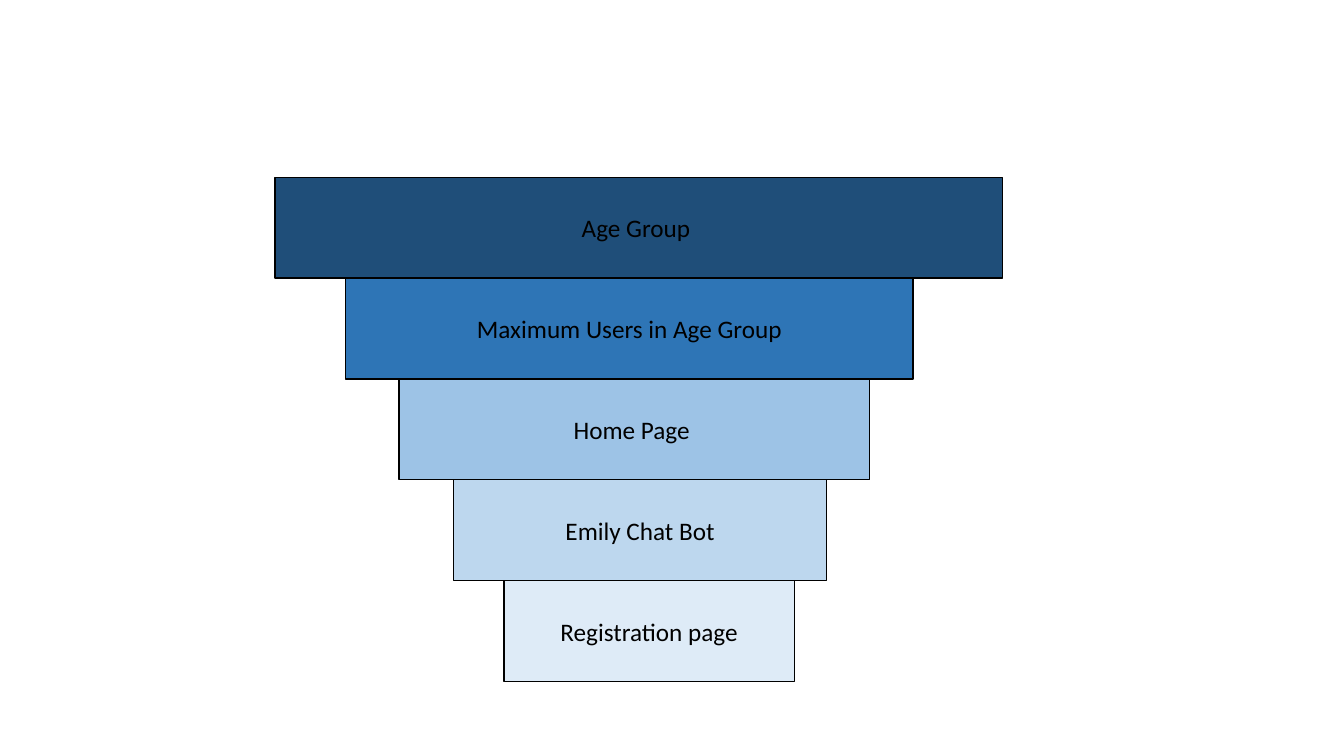
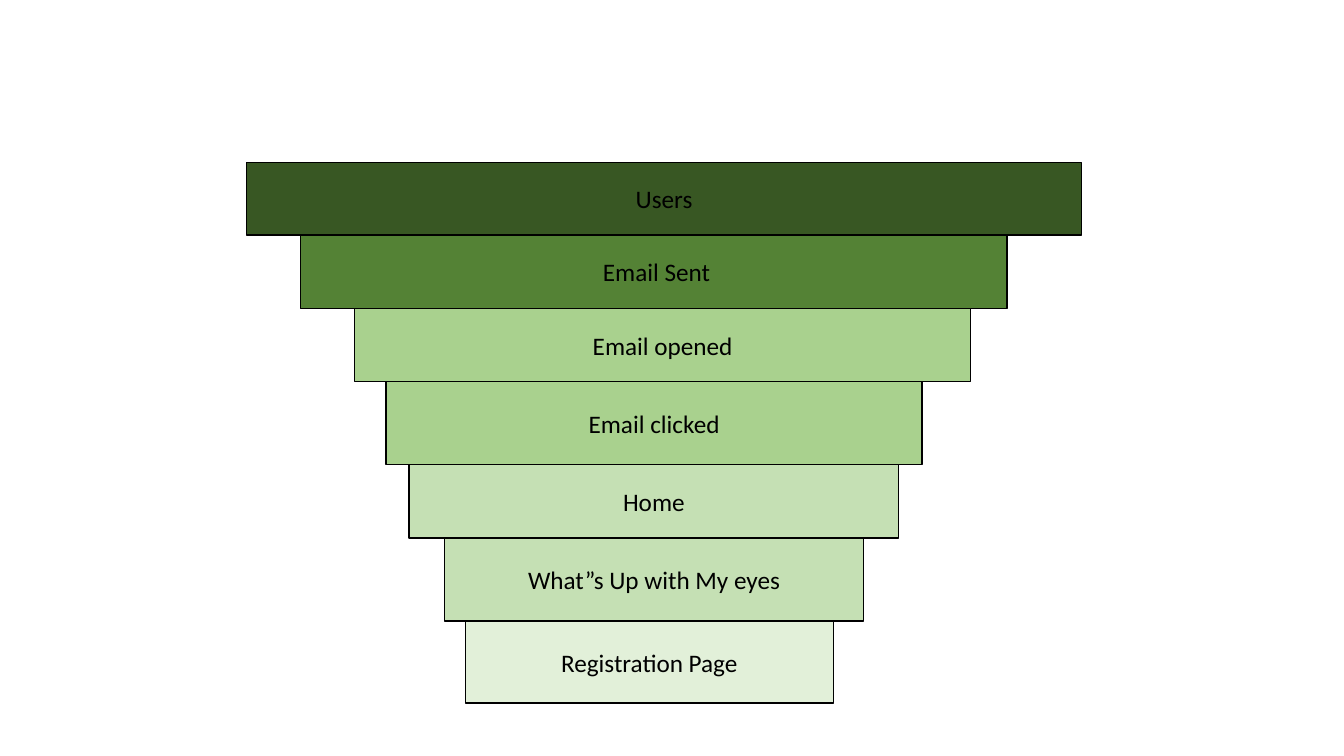
from pptx import Presentation
from pptx.dml.color import RGBColor
from pptx.enum.shapes import MSO_SHAPE as Shape
from pptx.enum.text import MSO_ANCHOR as Anchor, PP_ALIGN as Align
from pptx.util import Cm, Pt

COLORS = {
    "ink": "000000",
    "navy": "1F4E79", "blue": "2E75B6", "sky": "9DC3E6",
    "pale blue": "BDD7EE", "ice": "DEEBF7",
    "forest": "385723", "green": "548235", "leaf": "A9D18E",
    "pale green": "C5E0B4", "mint": "E2F0D9",
}
FONT = "Calibri"

# Each funnel: top edge, then stages as (label, color, left, width, height) in cm
FUNNELS = [
    (4.47, [
        ("Age Group ", "navy", 6.93, 18.34, 2.54),
        ("Maximum Users in Age Group", "blue", 8.71, 14.3, 2.54),
        ("Home Page ", "sky", 10.06, 11.86, 2.54),
        ("Emily Chat Bot", "pale blue", 11.43, 9.4, 2.54),
        ("Registration page", "ice", 12.7, 7.32, 2.54),
    ]),
    (4.09, [
        ("Users", "forest", 6.22, 21.03, 1.83),
        (" Email Sent", "green", 7.57, 17.81, 1.85),
        ("Email opened", "leaf", 8.94, 15.52, 1.85),
        ("Email clicked", "leaf", 9.73, 13.51, 2.09),
        ("Home", "pale green", 10.31, 12.34, 1.85),
        ("What”s Up with My eyes", "pale green", 11.2, 10.57, 2.09),
        ("Registration Page", "mint", 11.73, 9.27, 2.07),
    ]),
]


def color(name):
    return RGBColor.from_string(COLORS[name])


def write(frame, text, size=18, ink="ink", align=Align.CENTER, anchor=Anchor.MIDDLE):
    frame.word_wrap = True
    frame.vertical_anchor = anchor
    paragraph = frame.paragraphs[0]
    paragraph.alignment = align
    run = paragraph.add_run()
    run.text = text
    run.font.name = FONT
    run.font.size = Pt(size)
    run.font.color.rgb = color(ink)


def add_stage(slide, label, fill, left, top, width, height):
    stage = slide.shapes.add_shape(
        Shape.RECTANGLE, Cm(left), Cm(top), Cm(width), Cm(height))
    stage.shadow.inherit = False
    stage.fill.solid()
    stage.fill.fore_color.rgb = color(fill)
    stage.line.color.rgb = color("ink")
    stage.line.width = Pt(1)
    write(stage.text_frame, label)


deck = Presentation()
deck.slide_width, deck.slide_height = Cm(33.87), Cm(19.05)
blank_layout = deck.slide_layouts[6]

# Stack each funnel's stages edge to edge
for top, stages in FUNNELS:
    slide = deck.slides.add_slide(blank_layout)
    for label, fill, left, width, height in stages:
        add_stage(slide, label, fill, left, top, width, height)
        top += height

deck.save("out.pptx")
